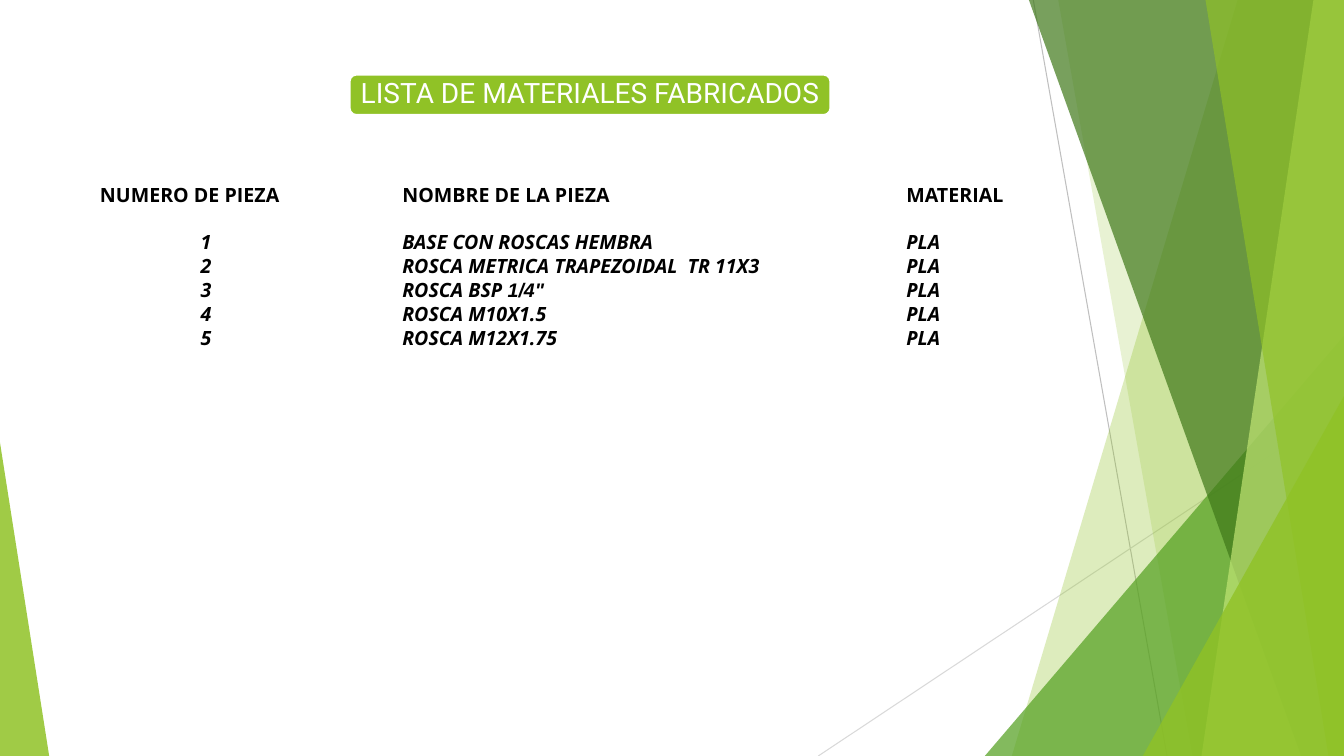
"""Build the slide listing the manufactured parts."""
from lxml.etree import SubElement
from pptx import Presentation
from pptx.dml.color import RGBColor
from pptx.enum.shapes import MSO_CONNECTOR, MSO_SHAPE
from pptx.enum.text import MSO_ANCHOR, PP_ALIGN
from pptx.oxml.ns import qn
from pptx.util import Cm, Pt

TITLE = "LISTA DE MATERIALES FABRICADOS"
HEADINGS = ["NUMERO DE PIEZA", "NOMBRE DE LA PIEZA", "MATERIAL"]
PIECES = [
    "BASE CON ROSCAS HEMBRA",
    "ROSCA METRICA TRAPEZOIDAL  TR 11X3",
    'ROSCA BSP 1/4"',
    "ROSCA M10X1.5",
    "ROSCA M12X1.75",
]
MATERIAL = "PLA"
FRACTION = '1/4"'
TAB_STOPS = [2.54, 7.62, 20.32]

WIDTH, HEIGHT = 33.87, 19.05
GREEN, WHITE, BLACK = "90C226", "FFFFFF", "000000"
RAYS = [
    ((26.04, 0), (29.41, HEIGHT), "BFBFBF"),
    ((WIDTH, 10.24), (20.62, HEIGHT), "D9D9D9"),
]
# kind, then top x and bottom x (facet) or left, top, width and apex (triangle)
DECORATION = [
    ("facet", (31.19, 25.5), GREEN, 30),
    ("facet", (26.67, 30.05), GREEN, 20),
    ("triangle", (24.82, 8.46, 9.05, 1), "54A021", 72),
    ("facet", (25.93, 32.79), "3F7819", 70),
    ("facet", (33.1, 30.28), "C0E474", 70),
    ("facet", (30.38, 33.48), GREEN, 65),
    ("triangle", (28.8, 9.98, 5.07, 1), GREEN, 80),
    ("triangle", (0, 11.15, 1.24, 0), GREEN, 85),
]


def paint(color_format, color):
    color_format.rgb = RGBColor.from_string(color)


def fill_shape(shape, color, opacity=100):
    shape.shadow.inherit = False
    shape.fill.solid()
    paint(shape.fill.fore_color, color)
    shape.line.fill.background()
    if opacity < 100:
        tint = shape.fill._xPr.find(".//" + qn("a:srgbClr"))
        SubElement(tint, qn("a:alpha")).set("val", str(opacity * 1000))


def add_ray(page, start, end, color):
    ray = page.shapes.add_connector(
        MSO_CONNECTOR.STRAIGHT, *[Cm(value) for value in start + end])
    ray.line.width = Pt(0.75)
    paint(ray.line.color, color)
    SubElement(ray._element.spPr, qn("a:effectLst"))


def add_facet(page, top_x, bottom_x):
    builder = page.shapes.build_freeform(Cm(top_x), 0)
    corners = [(WIDTH, 0), (WIDTH, HEIGHT), (bottom_x, HEIGHT)]
    builder.add_line_segments([(Cm(x), Cm(y)) for x, y in corners], close=True)
    return builder.convert_to_shape()


def add_triangle(page, left, top, width, apex):
    triangle = page.shapes.add_shape(
        MSO_SHAPE.ISOSCELES_TRIANGLE, Cm(left), Cm(top), Cm(width), Cm(HEIGHT - top))
    triangle.adjustments[0] = apex
    return triangle


def style_span(span, size, name, color, bold=False, italic=False):
    span.font.size = Pt(size)
    span.font.name = name
    span.font.bold = bold
    span.font.italic = italic
    paint(span.font.color, color)


def add_title(page):
    banner = page.shapes.add_shape(
        MSO_SHAPE.ROUNDED_RECTANGLE, Cm(8.81), Cm(1.88), Cm(12.12), Cm(1.02))
    fill_shape(banner, GREEN)
    paint(banner.line.color, WHITE)
    banner.line.width = Pt(1.5)
    frame = banner.text_frame
    frame.margin_left = frame.margin_right = 0
    frame.margin_top = frame.margin_bottom = 0
    frame.vertical_anchor = MSO_ANCHOR.MIDDLE
    frame.word_wrap = True
    frame.text = TITLE
    para = frame.paragraphs[0]
    para.alignment = PP_ALIGN.CENTER
    para.line_spacing = 0.9
    style_span(para.runs[0], 20, "Roboto", WHITE)


def add_parts_list(page):
    box = page.shapes.add_textbox(Cm(2.52), Cm(4.6), Cm(24.28), Cm(4.19))
    frame = box.text_frame
    frame.word_wrap = True
    frame.margin_left = frame.margin_right = 0
    frame.margin_top = frame.margin_bottom = 0
    frame.vertical_anchor = MSO_ANCHOR.MIDDLE
    rows = ["\t".join(HEADINGS)]
    rows += [f"\t{number}\t{piece}\t{MATERIAL}"
             for number, piece in enumerate(PIECES, 1)]
    for index, row in enumerate(rows):
        para = frame.paragraphs[0] if index == 0 else frame.add_paragraph()
        tabs = SubElement(para._p.get_or_add_pPr(), qn("a:tabLst"))
        for stop in TAB_STOPS:
            tab = SubElement(tabs, qn("a:tab"))
            tab.set("pos", str(Cm(stop)))
            tab.set("algn", "l")
        para.line_spacing = Pt(17)
        para.space_after = Pt(17 if index == 0 else 0)
        for text in filter(None, row.partition(FRACTION)):
            span = para.add_run()
            span.text = text
            name = "Arial" if text == FRACTION else "Open Sans"
            style_span(span, 14, name, BLACK, bold=True, italic=index > 0)


def main():
    deck = Presentation()
    deck.slide_width, deck.slide_height = Cm(WIDTH), Cm(HEIGHT)
    page = deck.slides.add_slide(deck.slide_layouts[6])
    for start, end, color in RAYS:
        add_ray(page, start, end, color)
    for kind, geometry, color, opacity in DECORATION:
        add_part = add_facet if kind == "facet" else add_triangle
        fill_shape(add_part(page, *geometry), color, opacity)
    add_title(page)
    add_parts_list(page)
    deck.save("out.pptx")


if __name__ == "__main__":
    main()
